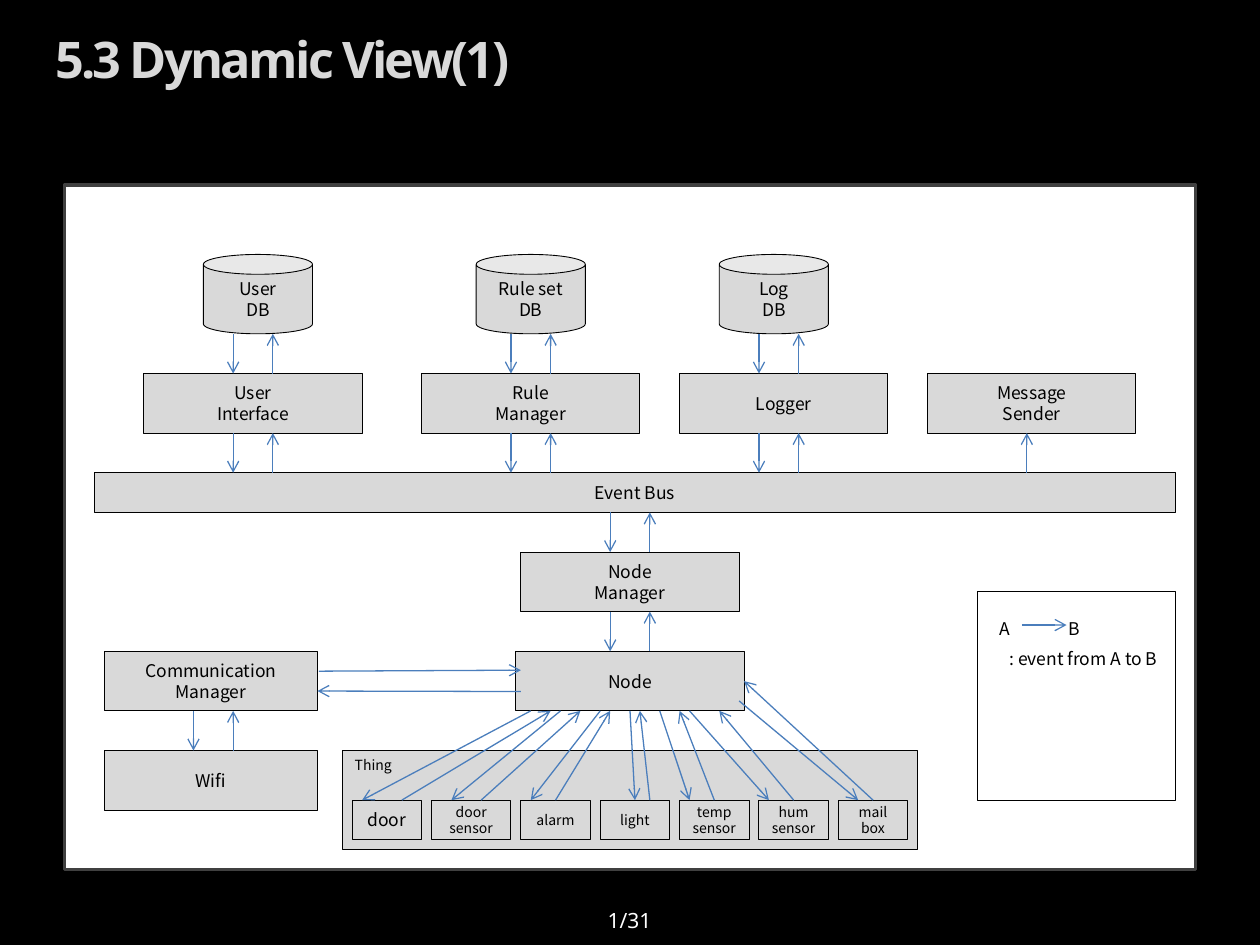
from pptx import Presentation
from pptx import util as u
from pptx.dml.color import RGBColor
from pptx.enum import shapes, text
from pptx.oxml.ns import qn
from lxml import etree

BLACK = RGBColor(0, 0, 0)
WHITE = RGBColor(255, 255, 255)
GRAY = RGBColor(0xD9, 0xD9, 0xD9)
FRAME = RGBColor(0x40, 0x40, 0x40)
BLUE = RGBColor(0x4B, 0x7E, 0xBC)
HEAD_FONT, BODY_FONT = "Noto Sans", "Noto Sans CJK KR"
RECT, CAN = shapes.MSO_SHAPE.RECTANGLE, shapes.MSO_SHAPE.CAN
LEFT, CENTER = text.PP_ALIGN.LEFT, text.PP_ALIGN.CENTER
TOP, MIDDLE = text.MSO_ANCHOR.TOP, text.MSO_ANCHOR.MIDDLE

# Content, all lengths in cm
TITLE, PAGE = "5.3 Dynamic View(1)", "1/31"
GAP, BOX_H, BUS_H, DB_W, DB_H = 0.8, 1.2, 0.8, 2.2, 1.6

# Rows, one gap apart
DB_Y = 5.13
MANAGER_Y = DB_Y + DB_H + GAP
BUS_Y = MANAGER_Y + BOX_H + GAP
NODE_MANAGER_Y = BUS_Y + BUS_H + GAP
NODE_Y = NODE_MANAGER_Y + BOX_H + GAP
NODE_BOTTOM = NODE_Y + BOX_H
THING_Y = NODE_BOTTOM + GAP
ITEM_Y = THING_Y + 1

databases = [(4.1, "User\nDB"), (9.6, "Rule set\nDB"), (14.5, "Log\nDB")]
components = [  # left, top, width, height, label
    (2.9, MANAGER_Y, 4.4, BOX_H, "User\nInterface"),
    (8.5, MANAGER_Y, 4.4, BOX_H, "Rule\nManager"),
    (13.7, MANAGER_Y, 4.2, BOX_H, "Logger"),
    (18.7, MANAGER_Y, 4.2, BOX_H, "Message\nSender"),
    (1.9, BUS_Y, 21.8, BUS_H, "Event Bus"),
    (10.5, NODE_MANAGER_Y, 4.4, BOX_H, "Node\nManager"),
    (10.4, NODE_Y, 4.6, BOX_H, "Node"),
    (2.1, NODE_Y, 4.3, BOX_H, "Communication\nManager"),
    (2.1, THING_Y, 4.3, BOX_H, "Wifi"),
]
# label, width, size, event from node (node x, item x), event to node (item x, node x)
things = [
    ("door", 1.4, 10, (10.7, 7.3), (8.1, 11.1)),
    ("door\nsensor", 1.6, 8, (11.3, 9.1), (9.7, 11.7)),
    ("alarm", 1.4, 8, (12.1, 10.7), (11.2, 12.3)),
    ("light", 1.4, 8, (12.7, 12.8), (13.1, 12.9)),
    ("temp\nsensor", 1.4, 8, (13.3, 13.9), (14.4, 13.7)),
    ("hum\nsensor", 1.4, 8, (13.9, 15.5), (16, 14.5)),
    ("mail\nbox", 1.4, 8, (14.9, 17.3), (17.6, 15)),
]
side_ends = {"mail\nbox": (NODE_BOTTOM - 0.2, NODE_BOTTOM - 0.6)}
event_pairs = [  # x down, x up, tops of the gaps
    (4.7, 5.5, (MANAGER_Y, BUS_Y)),
    (10.3, 11.1, (MANAGER_Y, BUS_Y)),
    (15.3, 16.1, (MANAGER_Y, BUS_Y)),
    (12.3, 13.1, (NODE_MANAGER_Y, NODE_Y)),
    (3.9, 4.7, (THING_Y,)),
]
single_events = [
    (20.7, BUS_Y, 20.7, BUS_Y - GAP),
    (6.43, 13.53, 10.5, 13.51),
    (10.5, 13.94, 6.4, 13.93),
    (20.6, 12.6, 21.5, 12.6),
]
legend_texts = [(19.9, 12.33, 1, "A"), (21.3, 12.33, 1, "B"),
                (20.1, 12.93, 3.8, ": event from A to B")]

deck = Presentation()
deck.slide_width, deck.slide_height = u.Cm(25.4), u.Cm(19.05)
slide = deck.slides.add_slide(deck.slide_layouts[6])
slide.background.fill.solid()
slide.background.fill.fore_color.rgb = BLACK


def write(part, words, size, align=CENTER, anchor=MIDDLE, font=BODY_FONT,
          color=BLACK, bold=False, spacing=None):
    frame = part.text_frame
    frame.word_wrap, frame.vertical_anchor = True, anchor
    for i, line in enumerate(words.split("\n")):
        para = frame.add_paragraph() if i else frame.paragraphs[0]
        para.alignment = align
        run = para.add_run()
        run.text = line
        run.font.size, run.font.name, run.font.bold = u.Pt(size), font, bold
        run.font.color.rgb = color
        props = run.font._element
        etree.SubElement(props, qn("a:ea")).set("typeface", font)
        if spacing is not None:
            props.set("spc", str(spacing))


def label(left, top, width, height, words, size, **style):
    part = slide.shapes.add_textbox(*map(u.Cm, (left, top, width, height)))
    write(part, words, size, **style)


def box(left, top, width, height, words="", size=10, kind=RECT, fill=GRAY,
        line=BLACK, weight=0.5, inset=None, **style):
    part = slide.shapes.add_shape(kind, *map(u.Cm, (left, top, width, height)))
    part.shadow.inherit = False
    if fill is None:
        part.fill.background()
    else:
        part.fill.solid()
        part.fill.fore_color.rgb = fill
    part.line.color.rgb, part.line.width = line, u.Pt(weight)
    if inset is not None:
        part.text_frame.margin_left = part.text_frame.margin_right = u.Cm(inset)
        part.text_frame.margin_top = part.text_frame.margin_bottom = u.Cm(inset)
    if words:
        write(part, words, size, **style)


def event(x1, y1, x2, y2):
    arrow = slide.shapes.add_connector(shapes.MSO_CONNECTOR.STRAIGHT,
                                       *map(u.Cm, (x1, y1, x2, y2)))
    arrow.line.color.rgb, arrow.line.width = BLUE, u.Pt(0.75)
    etree.SubElement(arrow.line._get_or_add_ln(), qn("a:tailEnd")).set("type", "arrow")
    etree.SubElement(arrow._element.spPr, qn("a:effectLst"))


# Frame, title and page number
box(1.3, 3.73, 22.8, 13.8, fill=WHITE, line=FRAME, weight=2)
label(0.86, 0.53, 23.2, 1.3, TITLE, 28.8, align=LEFT, font=HEAD_FONT,
      color=GRAY, bold=True, spacing=-150)
label(9.73, 18.03, 5.92, 1.02, PAGE, 12, font=HEAD_FONT, color=WHITE)

# Databases and components
for left, words in databases:
    box(left, DB_Y, DB_W, DB_H, words, kind=CAN)
for component in components:
    box(*component)

# Things and their events with the node
box(6.9, THING_Y, 11.6, 2, "Thing", 8, align=LEFT, anchor=TOP)
left = 7.1
for words, width, size, (from_x, item_x), (back_x, to_x) in things:
    box(left, ITEM_Y, width, 0.8, words, size, inset=0)
    left += width + 0.2
    out_y, in_y = side_ends.get(words, (NODE_BOTTOM, NODE_BOTTOM))
    event(from_x, out_y, item_x, ITEM_Y)
    event(back_x, ITEM_Y, to_x, in_y)

# Events between rows
for down_x, up_x, row_tops in event_pairs:
    for row_top in row_tops:
        event(down_x, row_top - GAP, down_x, row_top)
        event(up_x, row_top, up_x, row_top - GAP)
for ends in single_events:
    event(*ends)

# Legend
box(19.7, 11.93, 4, 4.2, fill=None)
for left, top, width, words in legend_texts:
    label(left, top, width, 0.68, words, 10, align=LEFT, anchor=TOP)

deck.save("out.pptx")
